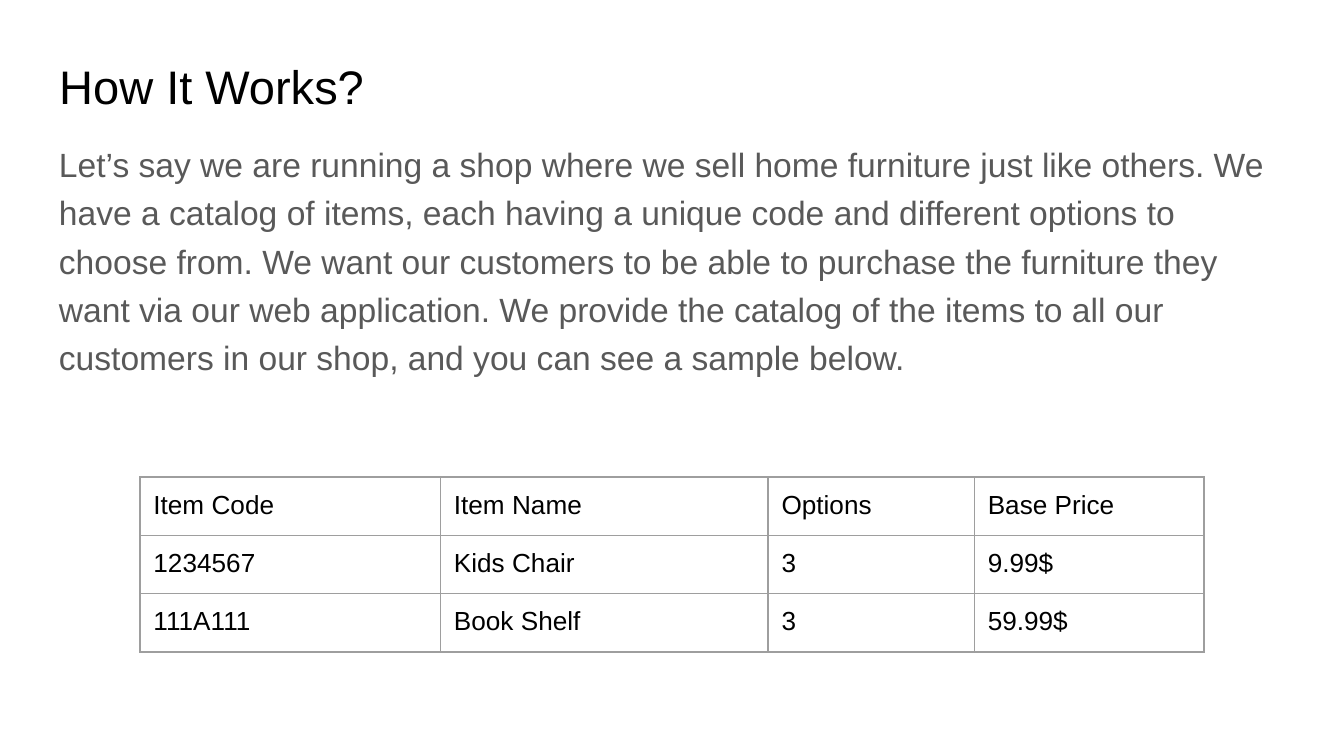
from lxml.etree import SubElement
from pptx import Presentation
from pptx.dml.color import RGBColor
from pptx.enum.text import MSO_ANCHOR, PP_ALIGN
from pptx.oxml.ns import qn
from pptx.util import Pt

COLORS = {"title": "000000", "body": "595959", "cell": "000000", "border": "9E9E9E"}
INSET = Pt(7.2)
FRAME_FORMAT = {
    "margin_left": INSET, "margin_right": INSET,
    "margin_top": INSET, "margin_bottom": INSET,
    "word_wrap": True,
}


def write_text(frame, text, size, color, anchor=MSO_ANCHOR.TOP):
    for name, value in FRAME_FORMAT.items():
        setattr(frame, name, value)
    frame.vertical_anchor = anchor
    paragraph = frame.paragraphs[0]
    paragraph.alignment = PP_ALIGN.LEFT
    run = paragraph.add_run()
    run.text = text
    for name, value in {"name": "Arial", "size": Pt(size), "bold": False}.items():
        setattr(run.font, name, value)
    run.font.color.rgb = RGBColor.from_string(COLORS[color])
    return paragraph


def add_borders(cell):
    properties = cell._tc.get_or_add_tcPr()
    for position, side in enumerate(("a:lnL", "a:lnR", "a:lnT", "a:lnB")):
        line = properties.makeelement(qn(side), {"w": str(Pt(0.75))})
        fill = SubElement(line, qn("a:solidFill"))
        SubElement(fill, qn("a:srgbClr"), val=COLORS["border"])
        properties.insert(position, line)


presentation = Presentation()
presentation.slide_width, presentation.slide_height = Pt(720), Pt(405)
slide = presentation.slides.add_slide(presentation.slide_layouts[5])

# Title
heading = slide.shapes.title
for name, value in {"left": 24.5, "top": 23, "width": 671, "height": 45.4}.items():
    setattr(heading, name, Pt(value))
write_text(heading.text_frame, "How It Works?", 25.2, "title", MSO_ANCHOR.BOTTOM)

# Introduction
introduction = slide.shapes.add_textbox(Pt(24.5), Pt(65.5), Pt(671), Pt(269.3))
paragraph = write_text(
    introduction.text_frame,
    "Let’s say we are running a shop where we sell home furniture just like others. "
    "We have a catalog of items, each having a unique code and different options to "
    "choose from. We want our customers to be able to purchase the furniture they "
    "want via our web application. We provide the catalog of the items to all our "
    "customers in our shop, and you can see a sample below.",
    18, "body",
)
paragraph.line_spacing = 1.2
paragraph.space_after = Pt(12)

# Sample catalog
catalog_rows = [
    ("Item Code", "Item Name", "Options", "Base Price"),
    ("1234567", "Kids Chair", "3", "9.99$"),
    ("111A111", "Book Shelf", "3", "59.99$"),
]
column_widths = (161, 175.5, 110.5, 123)
row_height = 30
catalog = slide.shapes.add_table(
    len(catalog_rows), len(column_widths), Pt(75), Pt(255.6),
    Pt(sum(column_widths)), Pt(row_height * len(catalog_rows)),
).table
catalog.first_row = catalog.horz_banding = False
for column, width in zip(catalog.columns, column_widths):
    column.width = Pt(width)
for row, values in zip(catalog.rows, catalog_rows):
    row.height = Pt(row_height)
    for cell, value in zip(row.cells, values):
        for side in ("left", "right", "top", "bottom"):
            setattr(cell, f"margin_{side}", INSET)
        cell.fill.background()
        write_text(cell.text_frame, value, 14, "cell")
        add_borders(cell)

presentation.save("out.pptx")
